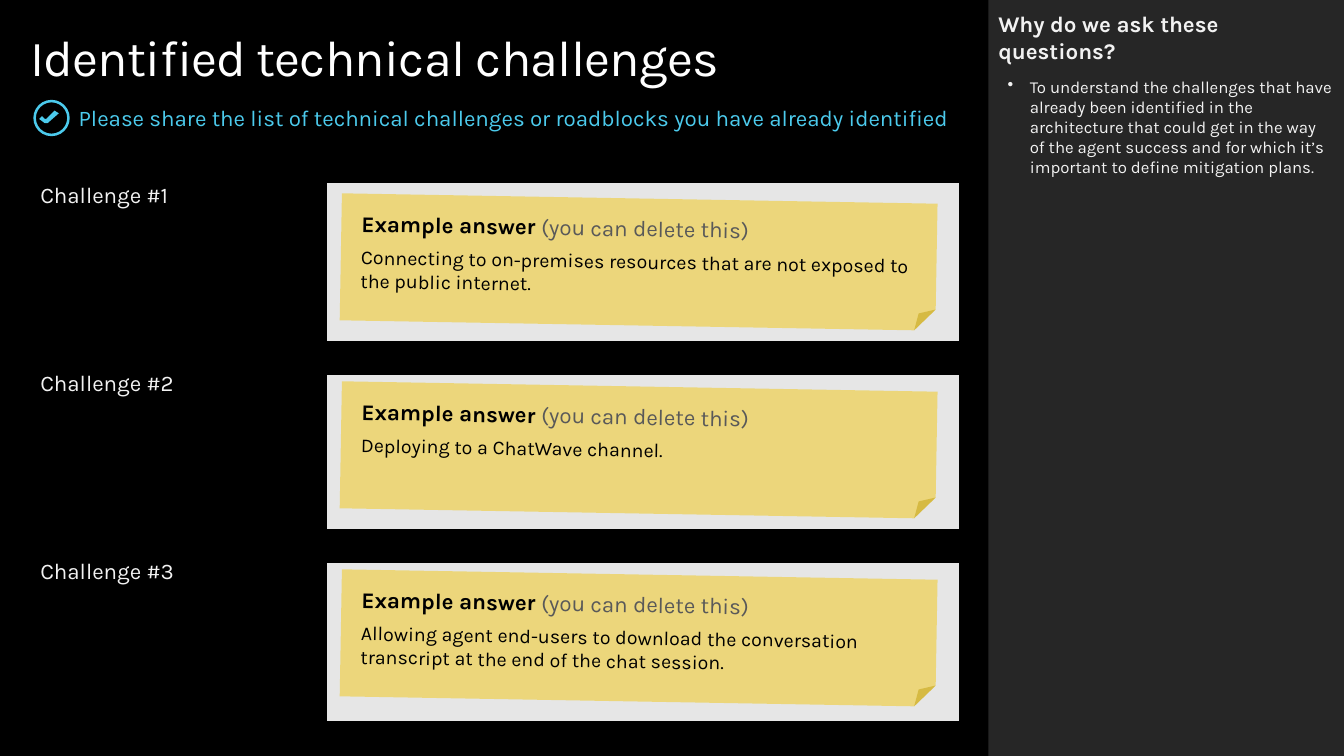
from lxml import etree
from pptx import Presentation
from pptx.dml.color import RGBColor
from pptx.enum.shapes import MSO_SHAPE
from pptx.enum.text import MSO_ANCHOR, PP_ALIGN
from pptx.oxml.ns import qn
from pptx.util import Pt

RECTANGLE, DONUT, NOTE = MSO_SHAPE.RECTANGLE, MSO_SHAPE.DONUT, MSO_SHAPE.FOLDED_CORNER
TOP, MIDDLE, LEFT = MSO_ANCHOR.TOP, MSO_ANCHOR.MIDDLE, PP_ALIGN.LEFT

BLACK = RGBColor(0x00, 0x00, 0x00)
WHITE = RGBColor(0xFF, 0xFF, 0xFF)
PALE = RGBColor(0xF2, 0xF2, 0xF2)
PANEL = RGBColor(0x26, 0x26, 0x26)
SKY = RGBColor(0x4C, 0xCB, 0xED)
ANSWER_GREY = RGBColor(0xE6, 0xE6, 0xE6)
HINT_GREY = RGBColor(0x59, 0x59, 0x59)
YELLOW = RGBColor(0xF2, 0xC8, 0x11)

FONT = "Karla"
NO_GRID_STYLE = "{2D5ABB26-0587-4C30-8999-92F81FD0307C}"
ROW_HEIGHT, GAP_HEIGHT = 115.2, 19.1
ANSWERS = [
    "Connecting to on-premises resources that are not exposed to the public internet.",
    "Deploying to a ChatWave channel.",
    "Allowing agent end-users to download the conversation transcript "
    "at the end of the chat session.",
]


def style(font, size, color, bold=False):
    font.name, font.size, font.bold = FONT, Pt(size), bold
    font.color.rgb = color


def set_frame(frame, horizontal=0, vertical=0, anchor=TOP):
    frame.word_wrap = True
    frame.vertical_anchor = anchor
    frame.margin_left = frame.margin_right = Pt(horizontal)
    frame.margin_top = frame.margin_bottom = Pt(vertical)


def paint(shape, color):
    shape.shadow.inherit = False
    shape.fill.solid()
    shape.fill.fore_color.rgb = color
    shape.line.fill.background()


def add_heading(page, left, top, width):
    # Title
    title = page.shapes.title
    title.left, title.top, title.width, title.height = Pt(left), Pt(top), Pt(width), Pt(44)
    set_frame(title.text_frame)
    para = title.text_frame.paragraphs[0]
    para.alignment = LEFT
    span = para.add_run()
    span.text = "Identified technical challenges"
    style(para.font, 36, WHITE)
    span._r.get_or_add_rPr().set("spc", "-50")

    # Check mark in a ring
    ring = page.shapes.add_shape(DONUT, Pt(left + 2.2), Pt(top + 52.6), Pt(26), Pt(26))
    ring.adjustments[0] = 0.07
    paint(ring, SKY)
    outline = [(9.2, 0), (2.7, 5.8), (2.2, 5.8), (0, 3.6), (-2.2, 5.8),
               (1.9, 9.2), (3.4, 9.2), (11.5, 2.2)]
    points = [(left + 8.6 + x, top + 60.5 + y) for x, y in outline]
    builder = page.shapes.build_freeform(*points[0], scale=Pt(1))
    builder.add_line_segments(points[1:], close=True)
    paint(builder.convert_to_shape(), SKY)

    # Request line
    box = page.shapes.add_textbox(Pt(left + 34.6), Pt(top + 55.5), Pt(width), Pt(19.4))
    set_frame(box.text_frame, anchor=MIDDLE)
    para = box.text_frame.paragraphs[0]
    para.text = ("Please share the list of technical challenges or roadblocks "
                 "you have already identified")
    style(para.font, 16, SKY)


def add_border(cell, edge):
    line = etree.Element(qn(f"a:{edge}"), w=str(Pt(6)))
    fill = etree.SubElement(line, qn("a:solidFill"))
    etree.SubElement(fill, qn("a:srgbClr"), val=str(BLACK))
    properties = cell._tc.get_or_add_tcPr()
    properties.insert(len(properties.findall(qn("a:lnT"))), line)


def add_challenge_table(page, left, top, width):
    row_count = 2 * len(ANSWERS) - 1
    height = len(ANSWERS) * ROW_HEIGHT + (len(ANSWERS) - 1) * GAP_HEIGHT
    frame = page.shapes.add_table(row_count, 2, Pt(left), Pt(top), Pt(width), Pt(height))
    table = frame.table
    table.first_row = table.horz_banding = False
    table._tbl.tblPr.find(qn("a:tableStyleId")).text = NO_GRID_STYLE
    table.columns[0].width, table.columns[1].width = Pt(204.5), Pt(width - 204.5)

    for index, row in enumerate(table.rows):
        is_gap = index % 2 == 1
        row.height = Pt(GAP_HEIGHT if is_gap else ROW_HEIGHT)
        for column, cell in enumerate(row.cells):
            cell.margin_left = cell.margin_top = cell.margin_bottom = 0
            cell.margin_right = Pt(7.2)
            para = cell.text_frame.paragraphs[0]
            if column == 0 and not is_gap:
                cell.fill.background()
                para.text = f"Challenge #{index // 2 + 1}"
                style(para.font, 16, PALE)
            else:
                cell.fill.solid()
                cell.fill.fore_color.rgb = BLACK if is_gap else ANSWER_GREY
                style(para.font, 8, PALE)
            if index > 0:
                add_border(cell, "lnT")
            if index < row_count - 1:
                add_border(cell, "lnB")


def add_note(page, left, top, answer):
    note = page.shapes.add_shape(NOTE, Pt(left), Pt(top), Pt(425.5), Pt(90.7))
    paint(note, YELLOW)
    color = note.fill._xPr.find(".//" + qn("a:srgbClr"))
    etree.SubElement(color, qn("a:alpha"), val="50000")
    note.rotation = 1
    set_frame(note.text_frame, 14.4, 11.5)

    heading = note.text_frame.paragraphs[0]
    for text, ink, bold in [("Example answer ", BLACK, True),
                            ("(you can delete this)", HINT_GREY, False)]:
        span = heading.add_run()
        span.text = text
        style(span.font, 16, ink, bold)
    body = note.text_frame.add_paragraph()
    body.text = answer
    style(body.font, 14, BLACK)
    for para in (heading, body):
        para.alignment = LEFT
        para.space_after = Pt(6)


def add_sidebar(page, left, top, width, height):
    panel = page.shapes.add_shape(RECTANGLE, Pt(left), Pt(top), Pt(width), Pt(height))
    paint(panel, PANEL)
    box = page.shapes.add_textbox(Pt(left), Pt(top), Pt(width), Pt(115))
    set_frame(box.text_frame, 7.2, 7.2)
    heading = box.text_frame.paragraphs[0]
    heading.text = "Why do we ask these questions?"
    heading.space_after = Pt(6)
    style(heading.font, 16, PALE, True)

    reason = box.text_frame.add_paragraph()
    reason.text = ("To understand the challenges that have already been identified in the "
                   "architecture that could get in the way of the agent success and for "
                   "which it’s important to define mitigation plans.")
    reason.space_before = Pt(3)
    properties = reason._p.get_or_add_pPr()
    properties.set("marL", str(Pt(22.5)))
    properties.set("indent", str(Pt(-15.8)))
    etree.SubElement(properties, qn("a:buChar"), char="•")
    style(reason.font, 12, PALE)


def main():
    deck = Presentation()
    deck.slide_width, deck.slide_height = Pt(960), Pt(540)
    page = deck.slides.add_slide(deck.slide_layouts[5])
    page.background.fill.solid()
    page.background.fill.fore_color.rgb = BLACK

    add_sidebar(page, 706, 0, 254, 540)
    add_heading(page, 21.6, 18.7, 628.6)
    add_challenge_table(page, 28.8, 131, 655.9)
    for index, answer in enumerate(ANSWERS):
        add_note(page, 243.4, 141.8 + index * (ROW_HEIGHT + GAP_HEIGHT), answer)
    deck.save("out.pptx")


if __name__ == "__main__":
    main()
